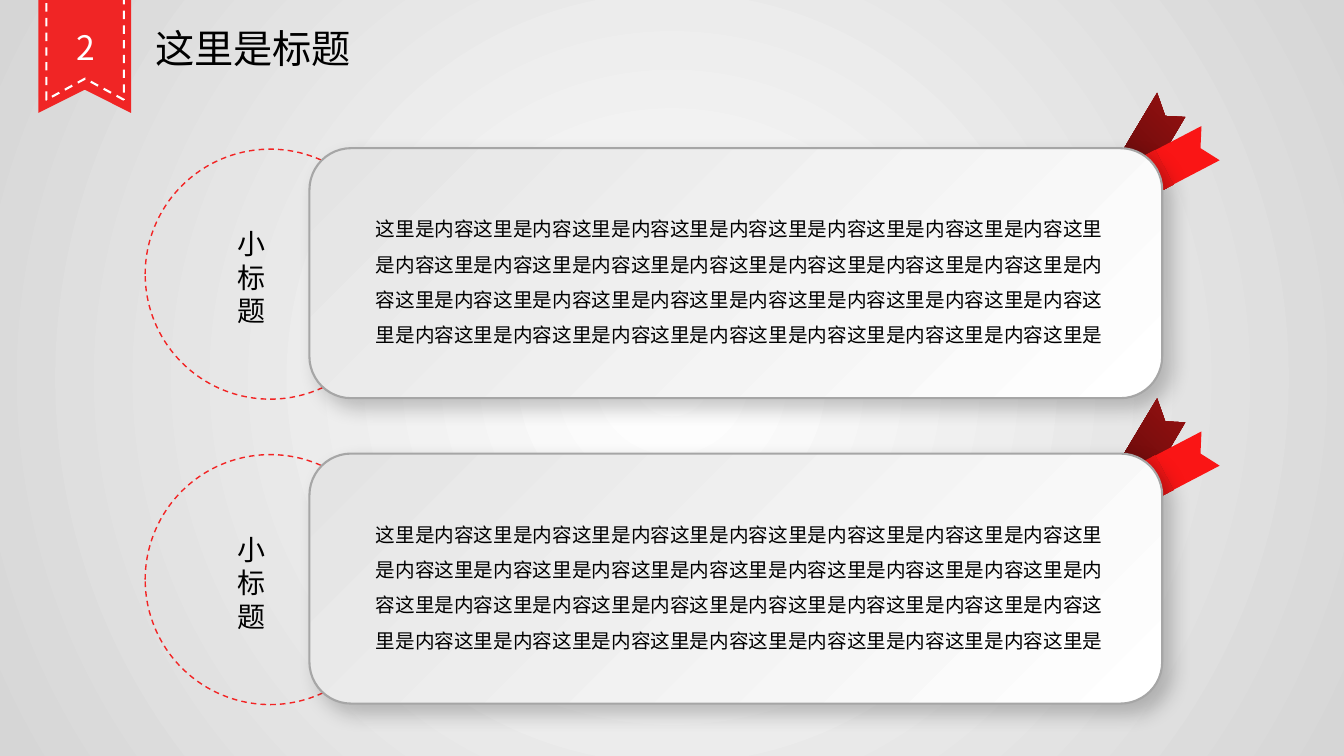
from lxml import etree
from pptx import Presentation
from pptx import util as u
from pptx.dml.color import RGBColor
from pptx.enum import dml, shapes, text
from pptx.oxml.ns import qn

CELL = u.Inches(0.1)  # one grid column or row
COLUMNS, ROWS = 133.33, 75
COLORS = {
    "white": "FFFFFF", "black": "000000", "backdrop": "D6D6D6",
    "banner": "F02525", "ring": "F22424", "border": "A6A6A6", "card": "E4E4E4",
    "tail_dark": "590A0A", "tail_light": "961010", "ribbon": "FA1515", "fold": "C41616",
}
SANS_JP, SANS_SC = "Noto Sans CJK JP", "Noto Sans CJK SC"


def cells(*values):
    return [round(value * CELL) for value in values]


def color(name):
    return RGBColor.from_string(COLORS[name])


class Canvas:
    """Holds the style and the current slide; lengths are grid cells."""

    def __init__(self, deck):
        self.page = deck.slides.add_slide(deck.slide_layouts[6])

    def gradient(self, owner, fill, names, angle=0, focus=None):
        fill.gradient()
        for stop, name in zip(fill.gradient_stops, names):
            stop.color.rgb = color(name)
        if focus is None:
            fill.gradient_angle = angle
            return
        node = next(owner._element.iter(qn("a:gradFill")))
        node.remove(node.find(qn("a:lin")))
        radial = etree.SubElement(node, qn("a:path"), {"path": "circle"})
        edges = {side: str(share * 1000) for side, share in zip("ltrb", focus)}
        etree.SubElement(radial, qn("a:fillToRect"), edges)

    def backdrop(self, names):
        self.gradient(self.page, self.page.background.fill, names, focus=(50, 50, 50, 50))

    def style(self, shape, fill=None, line=None, width=1, dash=False, **gradient):
        shape.shadow.inherit = False
        if gradient:
            self.gradient(shape, shape.fill, **gradient)
        elif fill:
            shape.fill.solid()
            shape.fill.fore_color.rgb = color(fill)
        else:
            shape.fill.background()
        if line:
            shape.line.color.rgb = color(line)
            shape.line.width = u.Pt(width)
            if dash:
                shape.line.dash_style = dml.MSO_LINE.DASH
        else:
            shape.line.fill.background()
        return shape

    def shape(self, kind, area, **look):
        return self.style(self.page.shapes.add_shape(kind, *cells(*area)), **look)

    def outline(self, points, top=0, **look):
        start, *rest = [cells(x, y + top) for x, y in points]
        builder = self.page.shapes.build_freeform(*start)
        builder.add_line_segments(rest, close=True)
        return self.style(builder.convert_to_shape(), **look)

    def shadow(self, shape, blur, distance, angle, opacity):
        effects = shape._element.spPr.find(qn("a:effectLst"))
        shade = etree.SubElement(effects, qn("a:outerShdw"), {
            "blurRad": str(u.Pt(blur)), "dist": str(u.Pt(distance)),
            "dir": str(angle * 60000), "algn": "tl", "rotWithShape": "0"})
        tint = etree.SubElement(shade, qn("a:srgbClr"), val=COLORS["black"])
        etree.SubElement(tint, qn("a:alpha"), val=str(opacity * 1000))

    def label(self, words, area, size, font, ink="black", **layout):
        box = self.page.shapes.add_textbox(*cells(*area))
        box.text_frame.word_wrap = True
        box.text_frame.auto_size = text.MSO_AUTO_SIZE.SHAPE_TO_FIT_TEXT
        para = box.text_frame.paragraphs[0]
        for name, value in layout.items():
            setattr(para, name, value)
        span = para.add_run()
        span.text = words
        for name, value in {"size": u.Pt(size), "name": font}.items():
            setattr(span.font, name, value)
        span.font.color.rgb = color(ink)
        etree.SubElement(span._r.get_or_add_rPr(), qn("a:ea"), typeface=font)


def swallowtail(left, right, top, bottom, notch):
    return [(right, bottom), ((left + right) / 2, notch), (left, bottom),
            (left, top), (right, top)]


def add_section(canvas, top, label_width):
    # Ribbon tied around the card's corner
    canvas.outline([(114.8, -5.5), (112, -0.8), (110, 2.6), (111.8, 6), (114.8, 1.6),
                    (117.6, -3.1), (115.6, -3.2)], top,
                   names=("tail_dark", "tail_light"), focus=(0, 100, 100, 0))
    canvas.outline([(121, 1.2), (111.8, 6), (110, 2.6), (119.2, -2.2), (119.1, 0)],
                   top, fill="ribbon")
    canvas.outline([(116.4, 3.6), (111.8, 6), (110, 2.6), (114.6, 0.2)], top,
                   names=("fold", "ribbon"), angle=27)
    # Ring and card
    canvas.shape(shapes.MSO_SHAPE.OVAL, (14.4, top + 0.1, 24.8, 24.8), line="ring", dash=True)
    card = canvas.shape(shapes.MSO_SHAPE.ROUNDED_RECTANGLE, (30.7, top, 84.6, 24.8),
                        line="border", width=1.5, names=("card", "white"), angle=315)
    canvas.shadow(card, blur=14, distance=9, angle=45, opacity=22)
    # Label and body
    canvas.label("小标题", (22.6, top + 7.3, label_width, 11.1), 20, SANS_JP)
    canvas.label("这里是内容" * 29 + "这里是", (36.3, top + 5.2, 75.1, 15.1), 14, SANS_SC,
                 line_spacing=1.5)


def main():
    deck = Presentation()
    deck.slide_width, deck.slide_height = cells(COLUMNS, ROWS)
    canvas = Canvas(deck)
    canvas.backdrop(("white", "backdrop"))

    # Numbered banner and title
    canvas.outline(swallowtail(3.8, 13, -23.8, 11.2, 8.9), fill="banner")
    canvas.outline(swallowtail(4.6, 12.3, -22.8, 9.9, 7.8), line="white", width=1.5, dash=True)
    canvas.label("2", (5.3, 2.2, 6.5, 5), 24, SANS_SC, "white",
                 alignment=text.PP_ALIGN.CENTER)
    canvas.label("这里是标题", (14.4, 1.9, 24.8, 5.7), 28, SANS_JP)

    # Two content sections
    for top, label_width in ((14.7, 6.6), (45, 7.1)):
        add_section(canvas, top, label_width)

    deck.save("out.pptx")


if __name__ == "__main__":
    main()
